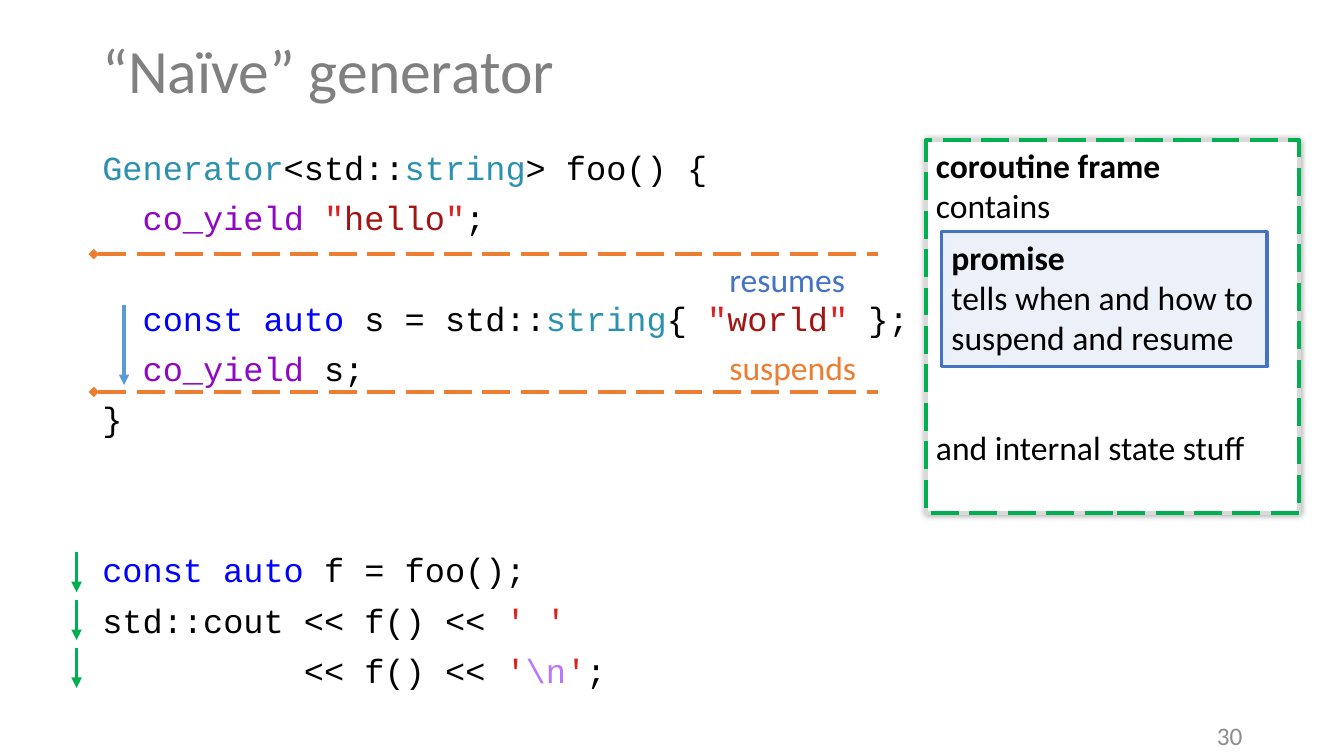
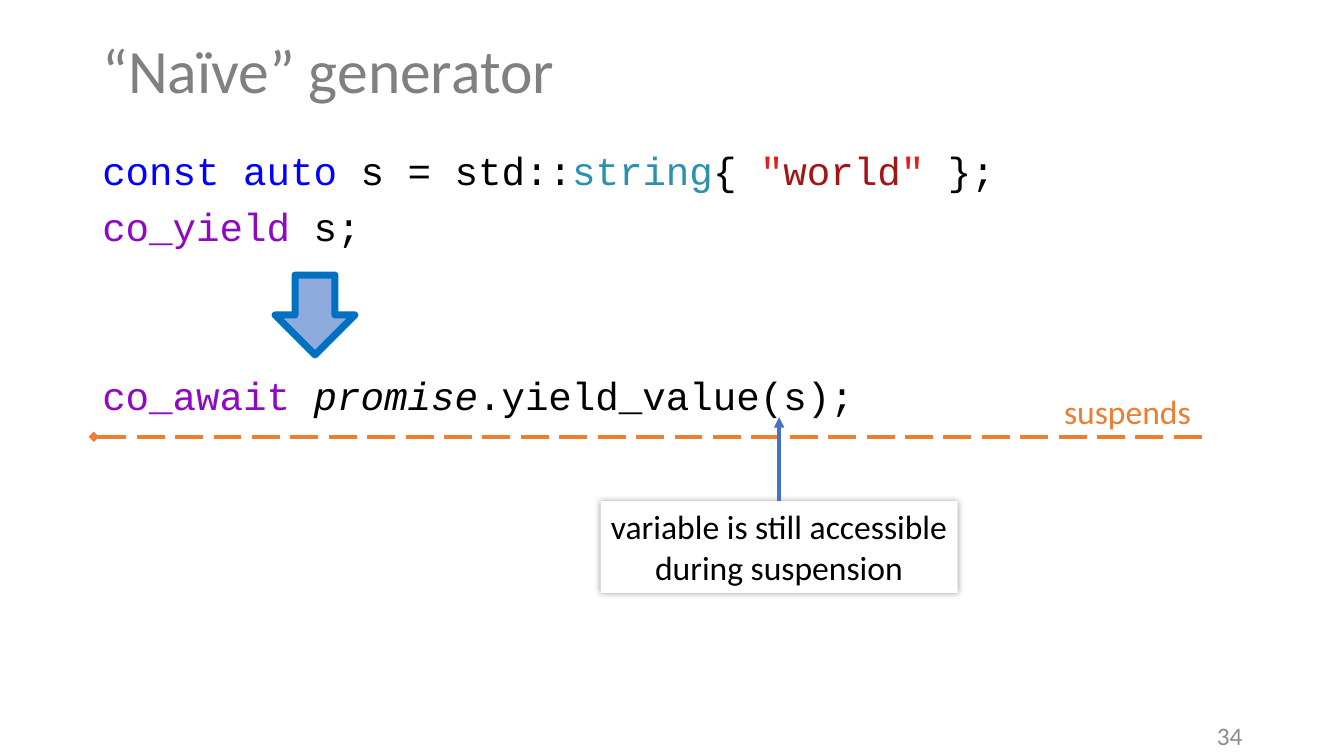
"""Build two slides about a coroutine generator."""
import lxml.etree
import pptx
import pptx.dml.color
import pptx.enum.dml
import pptx.enum.shapes
import pptx.enum.text
import pptx.oxml.ns
import pptx.util

Pt = pptx.util.Pt
RGB = pptx.dml.color.RGBColor.from_string
SHAPE = pptx.enum.shapes.MSO_SHAPE
ALIGN = pptx.enum.text.PP_ALIGN
ANCHOR = pptx.enum.text.MSO_ANCHOR
DASH = pptx.enum.dml.MSO_LINE.LONG_DASH
qn = pptx.oxml.ns.qn

COLORS = {
    "title": "808080", "number": "8C8C8C", "black": "000000", "white": "FFFFFF",
    "type": "2B91AF", "flow": "8F08C4", "keyword": "0000FF",
    "quote": "E21F1F", "literal": "A31515", "escape": "B776FB",
    "green": "00B050", "orange": "ED7D31", "blue": "4472C4", "sky": "5B9BD5",
    "gray": "D9D9D9", "pale": "DAE3F3", "arrow": "8FAADC", "arrow edge": "0070C0",
}
TOKENS = {
    "Generator": "type", "string": "type", "co_yield": "flow", "co_await": "flow",
    "const": "keyword", "auto": "keyword", '"': "quote", "'": "quote",
    "hello": "literal", "world": "literal", "\\n": "escape",
}
WORLD = 'const| |auto| s = std::|string|{ |"|world|"| };'
SLIDES = [
    ("30", 24, 36, {2: 1, 5: 2}, [
        "Generator|<std::|string|> foo() {",
        '  |co_yield| |"|hello|"|;',
        "  |" + WORLD,
        "  |co_yield| s;",
        "}",
        "const| |auto| f = foo();",
        "std::cout << f() << |'| |'",
        "          << f() << |'|\\n|'|;",
    ]),
    ("34", 28, 40.2, {2: 2}, [
        WORLD,
        "co_yield| s;",
        "co_await| |promise|.yield_value(s);",
    ]),
]


def add_box(s, box, lines=(), size=24, color="black", font="Calibri",
            kind=None, fill=None, edge=None, width=2.5):
    box = [Pt(v) for v in box]
    if kind is None:
        sp = s.shapes.add_textbox(*box)
    else:
        sp = s.shapes.add_shape(kind, *box)
        sp.shadow.inherit = False
        if fill:
            sp.fill.solid()
            sp.fill.fore_color.rgb = RGB(COLORS[fill])
        else:
            sp.fill.background()
        if edge:
            sp.line.color.rgb = RGB(COLORS[edge])
            sp.line.width = Pt(width)
        else:
            sp.line.fill.background()
    tf = sp.text_frame
    tf.word_wrap = True
    tf.vertical_anchor = ANCHOR.TOP
    for i, text in enumerate(lines):
        p = tf.add_paragraph() if i else tf.paragraphs[0]
        p.alignment = ALIGN.LEFT
        for token in text.split("|"):
            r = p.add_run()
            r.text = token
            r.font.name = font
            r.font.size = Pt(size)
            r.font.color.rgb = RGB(COLORS[TOKENS.get(token, color)])
    return sp


def add_line(s, start, end, color, head=None, tail=None, dash=None):
    line = s.shapes.add_connector(pptx.enum.shapes.MSO_CONNECTOR.STRAIGHT,
                                  *[Pt(v) for v in (*start, *end)])
    line.line.color.rgb = RGB(COLORS[color])
    line.line.width = Pt(2.5)
    if dash:
        line.line.dash_style = dash
    ln = line.line._get_or_add_ln()
    for tag, end_type in (("a:headEnd", head), ("a:tailEnd", tail)):
        if end_type:
            lxml.etree.SubElement(ln, qn(tag), type=end_type)
    lxml.etree.SubElement(line._element.spPr, qn("a:effectLst"))
    return line


prs = pptx.Presentation()
prs.slide_width, prs.slide_height = Pt(960), Pt(540)

codes = []
for number, size, pitch, gaps, lines in SLIDES:
    s = prs.slides.add_slide(prs.slide_layouts[6])
    title = add_box(s, (66, 0, 828, 104.5), ["“Naïve” generator"], 44, "title")
    title.text_frame.vertical_anchor = ANCHOR.MIDDLE
    title.text_frame.paragraphs[0].line_spacing = 0.9
    code = add_box(s, (66, 104.5, 828, 407), lines, size, font="Courier New")
    for i, p in enumerate(code.text_frame.paragraphs):
        p.line_spacing = 0.9
        p.space_before = Pt(10 + gaps.get(i, 0) * pitch if i else 0)
    codes.append(code)
    page = add_box(s, (678.5, 511, 216, 29), [number], 18, "number")
    page.text_frame.vertical_anchor = ANCHOR.MIDDLE
    page.text_frame.paragraphs[0].alignment = ALIGN.RIGHT

frame_slide, await_slide = prs.slides

s = frame_slide
frame_box = (661.5, 100, 266.5, 266.5)
backing = add_box(s, frame_box, kind=SHAPE.RECTANGLE, fill="white", edge="gray")
frame = add_box(s, frame_box, ["coroutine frame", "contains", "and internal state stuff"],
                kind=SHAPE.RECTANGLE, edge="green")
frame.line.dash_style = DASH
frame.text_frame.paragraphs[2].space_before = Pt(144)
promise = add_box(s, (672.5, 165.5, 232.5, 96.5),
                  ["promise", "tells when and how to suspend and resume"],
                  kind=SHAPE.RECTANGLE, fill="pale", edge="blue")
fill_color = promise._element.spPr.find(qn("a:solidFill"))[0]
lxml.etree.SubElement(fill_color, qn("a:alpha"), val="50000")
for sp in (frame, promise):
    sp.text_frame.paragraphs[0].runs[0].font.bold = True
for i in range(3):
    y = 394.5 + 34.2 * i
    add_line(s, (54.7, y), (54.7, y + 28.5), "green", tail="triangle")
for y in (181.5, 280):
    add_line(s, (67, y), (627, y), "orange", head="diamond", dash=DASH)
add_box(s, (514, 181.5, 108, 36), ["resumes"], color="blue")
add_box(s, (514, 244, 108, 36), ["suspends"], color="orange")
add_line(s, (88.6, 218), (88.6, 275), "sky", tail="triangle")

s = await_slide
codes[1].text_frame.paragraphs[2].runs[2].font.italic = True
add_line(s, (67, 312), (860, 312), "orange", head="diamond", dash=DASH)
add_box(s, (753, 276, 108, 36), ["suspends"], color="orange")
add_box(s, (196.5, 196.5, 57, 57), kind=SHAPE.DOWN_ARROW,
        fill="arrow", edge="arrow edge", width=5)
note = add_box(s, (429, 358, 255, 65.5), ["variable is still accessible", "during suspension"],
               kind=SHAPE.RECTANGLE, fill="white")
note.text_frame.word_wrap = False
for p in note.text_frame.paragraphs:
    p.alignment = ALIGN.CENTER
pointer = add_line(s, (556.5, 358), (556.5, 298), "blue", tail="triangle")
pointer.begin_connect(note, 0)

for sp in (backing, note):
    effects = sp._element.spPr.find(qn("a:effectLst"))
    shadow = lxml.etree.SubElement(effects, qn("a:outerShdw"), blurRad=str(Pt(5)), dist="0", dir="0")
    tint = lxml.etree.SubElement(shadow, qn("a:srgbClr"), val=COLORS["black"])
    lxml.etree.SubElement(tint, qn("a:alpha"), val="40000")

prs.save("out.pptx")
